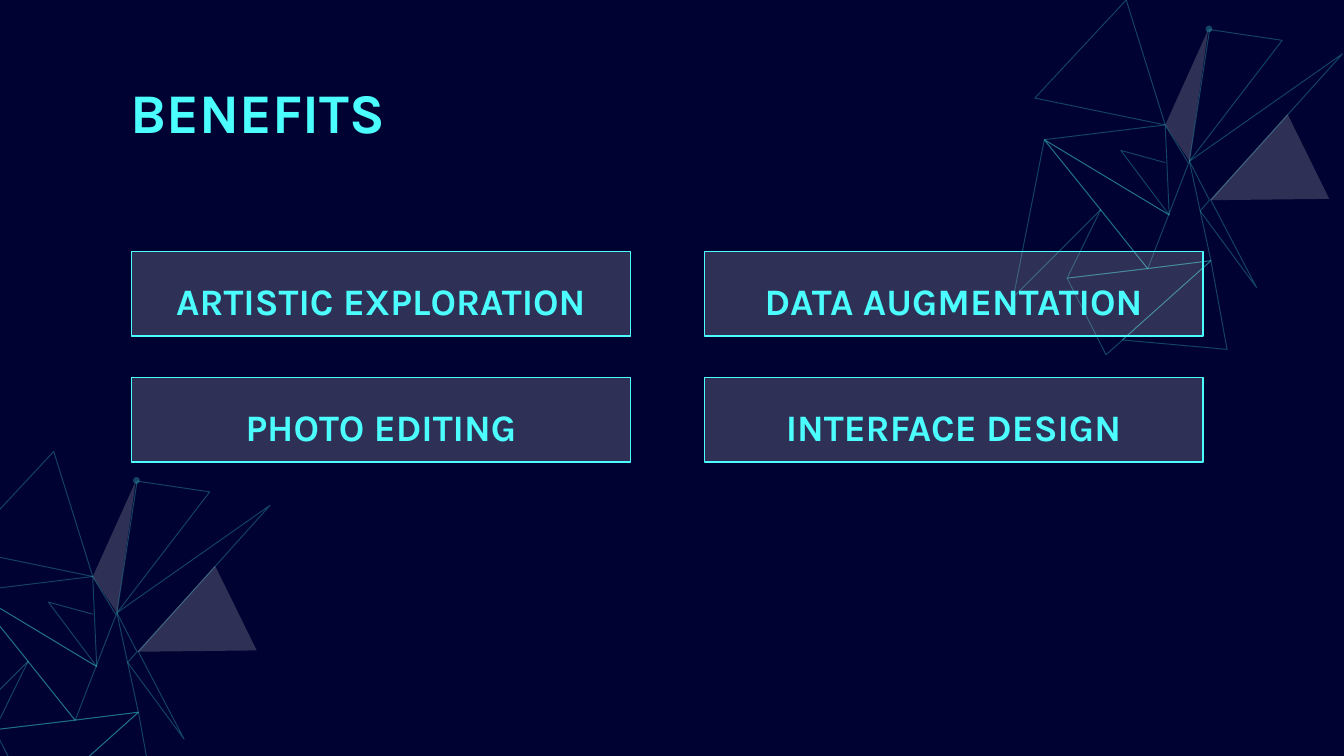
import pptx
import pptx.dml.color
import pptx.enum.shapes
import pptx.enum.text
import pptx.oxml.ns
import pptx.util
from lxml import etree

Inches = pptx.util.Inches
Pt = pptx.util.Pt
ALIGN = pptx.enum.text.PP_ALIGN
ANCHOR = pptx.enum.text.MSO_ANCHOR
SHAPES = pptx.enum.shapes.MSO_SHAPE
NAVY, CYAN, WHITE = "000331", "4CFDFD", "FFFFFF"
SLIDE_WIDTH = 10
SLIDE_HEIGHT = SLIDE_WIDTH * 9 / 16

CLOSED_WIRES = [
    [(1, 2), (1.47, 1.94), (1.31, 1.2)],
    [(1.31, 1.2), (1.46, 1.49), (1.39, 1.57), (1.81, 2.14), (1.47, 1.49), (2.45, 0.4)],
    [(1.31, 1.2), (2, 0.3), (1.46, 0.22)],
    [(0.16, 0.73), (1.13, 0.93), (0.84, 0)],
    [(0, 2.21), (0.65, 1.56), (0.23, 1.04)],
    [(0.4, 2.07), (0.69, 2.64), (1.47, 1.94)],
    [(0.4, 2.07), (1, 2), (0.65, 1.56)],
    [(0.81, 2.53), (1.59, 2.6), (1.47, 1.94)],
]
OPEN_WIRES = [
    [(1, 2), (0.23, 1.04), (1.16, 1.6), (1.13, 0.93), (1.3, 1.21)],
    [(1.13, 0.93), (0.23, 1.04), (1.16, 1.6), (0.8, 1.12), (1.13, 1.21)],
]
FACETS = [
    [(1.13, 0.93), (1.45, 0.22), (1.31, 1.2)],
    [(1.46, 1.49), (2.35, 1.48), (2.04, 0.85)],
]


def paint(fill, color):
    fill.solid()
    fill.fore_color.rgb = pptx.dml.color.RGBColor.from_string(color)


def set_opacity(shape, color, percent):
    for node in shape.element.spPr.iter(pptx.oxml.ns.qn("a:srgbClr")):
        if node.get("val") == color:
            alpha = etree.SubElement(node, pptx.oxml.ns.qn("a:alpha"))
            alpha.set("val", str(percent * 1000))


def write(frame, words, size, align, anchor):
    frame.word_wrap = True
    frame.vertical_anchor = anchor
    paragraph = frame.paragraphs[0]
    paragraph.alignment = align
    run = paragraph.add_run()
    run.text = words
    run.font.name = "Karla"
    run.font.size = Pt(size)
    run.font.bold = True
    run.font.color.rgb = pptx.dml.color.RGBColor.from_string(CYAN)


def add_outline(shapes, left, top, points, closed):
    corners = [(Inches(left + x), Inches(top + y)) for x, y in points]
    builder = shapes.build_freeform(*corners[0], scale=1.0)
    builder.add_line_segments(corners[1:], close=closed)
    outline = builder.convert_to_shape()
    outline.shadow.inherit = False
    return outline


def add_mesh(slide, left, top):
    mesh = slide.shapes.add_group_shape().shapes
    wires = [(points, True) for points in CLOSED_WIRES]
    wires += [(points, False) for points in OPEN_WIRES]
    for points, closed in wires:
        wire = add_outline(mesh, left, top, points, closed)
        wire.fill.background()
        paint(wire.line.fill, CYAN)
        wire.line.width = Pt(0.5)
        set_opacity(wire, CYAN, 26)
    node = mesh.add_shape(SHAPES.OVAL, Inches(left + 1.43), Inches(top + 0.19),
                          Inches(0.05), Inches(0.05))
    node.shadow.inherit = False
    paint(node.fill, CYAN)
    node.line.fill.background()
    set_opacity(node, CYAN, 26)
    for points in FACETS:
        facet = add_outline(mesh, left, top, points, True)
        paint(facet.fill, WHITE)
        facet.line.fill.background()
        set_opacity(facet, WHITE, 18)


def add_heading(slide, left, top, width, height, words):
    heading = slide.shapes.title
    heading.left, heading.top = Inches(left), Inches(top)
    heading.width, heading.height = Inches(width), Inches(height)
    write(heading.text_frame, words, 30, ALIGN.LEFT, ANCHOR.TOP)


def add_benefits(slide, left, top, width, height, rows):
    card_width, card_height = 3.71, 0.63
    column_step = width - card_width
    row_step = (height - card_height) / (len(rows) - 1)
    for row, benefits in enumerate(rows):
        for column, benefit in enumerate(benefits):
            card = slide.shapes.add_shape(
                SHAPES.RECTANGLE,
                Inches(left + column * column_step), Inches(top + row * row_step),
                Inches(card_width), Inches(card_height))
            card.shadow.inherit = False
            paint(card.fill, WHITE)
            set_opacity(card, WHITE, 18)
            paint(card.line.fill, CYAN)
            card.line.width = Pt(0.75)
            frame = card.text_frame
            frame.margin_left = frame.margin_right = Inches(0.1)
            frame.margin_top = frame.margin_bottom = Inches(0.1)
            write(frame, benefit, 20, ALIGN.CENTER, ANCHOR.BOTTOM)


def main():
    deck = pptx.Presentation()
    deck.slide_width = Inches(SLIDE_WIDTH)
    deck.slide_height = Inches(SLIDE_HEIGHT)
    slide = deck.slides.add_slide(deck.slide_layouts[5])
    paint(slide.background.fill, NAVY)
    add_mesh(slide, -0.44, 3.36)
    add_mesh(slide, 7.54, 0)
    add_heading(slide, 0.87, 0.53, 4.8, 0.61, "BENEFITS")
    add_benefits(slide, 0.98, 1.87, 7.97, 1.57, [
        ["ARTISTIC EXPLORATION", "DATA AUGMENTATION"],
        ["PHOTO EDITING", "INTERFACE DESIGN"],
    ])
    deck.save("out.pptx")


if __name__ == "__main__":
    main()
